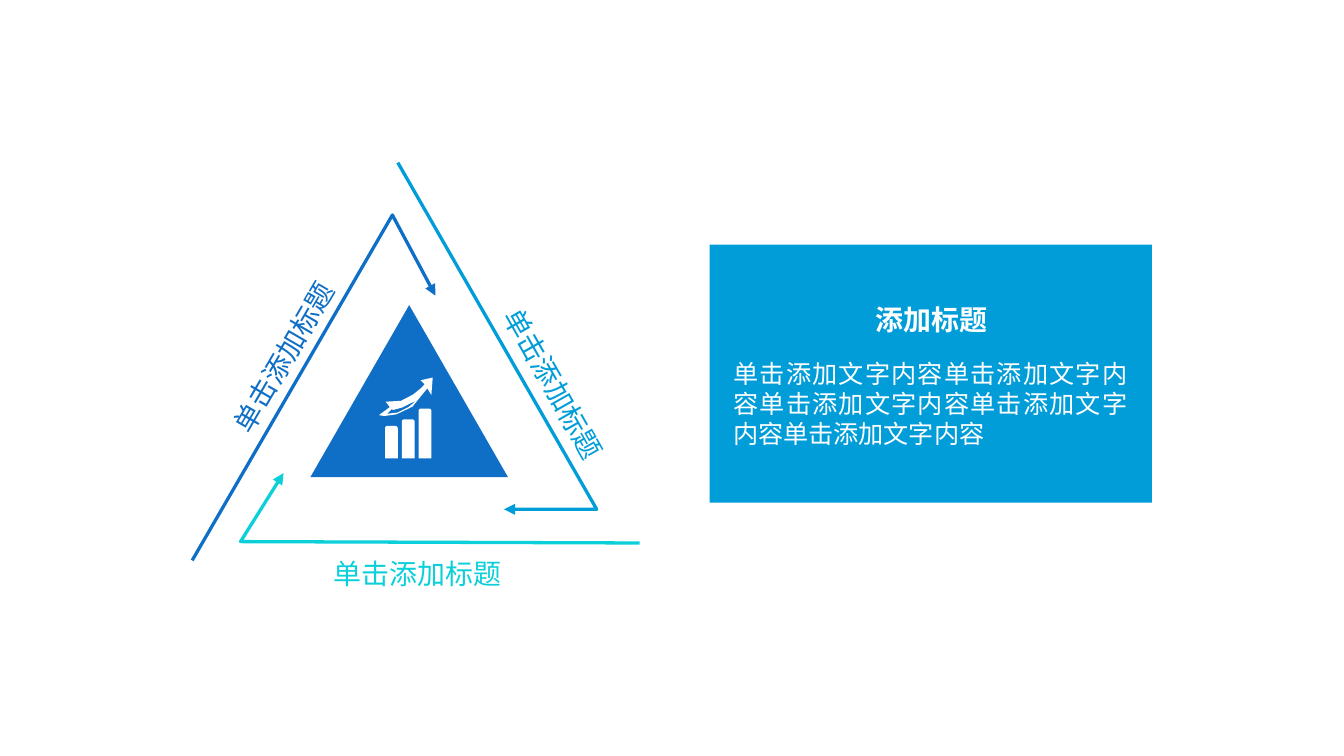
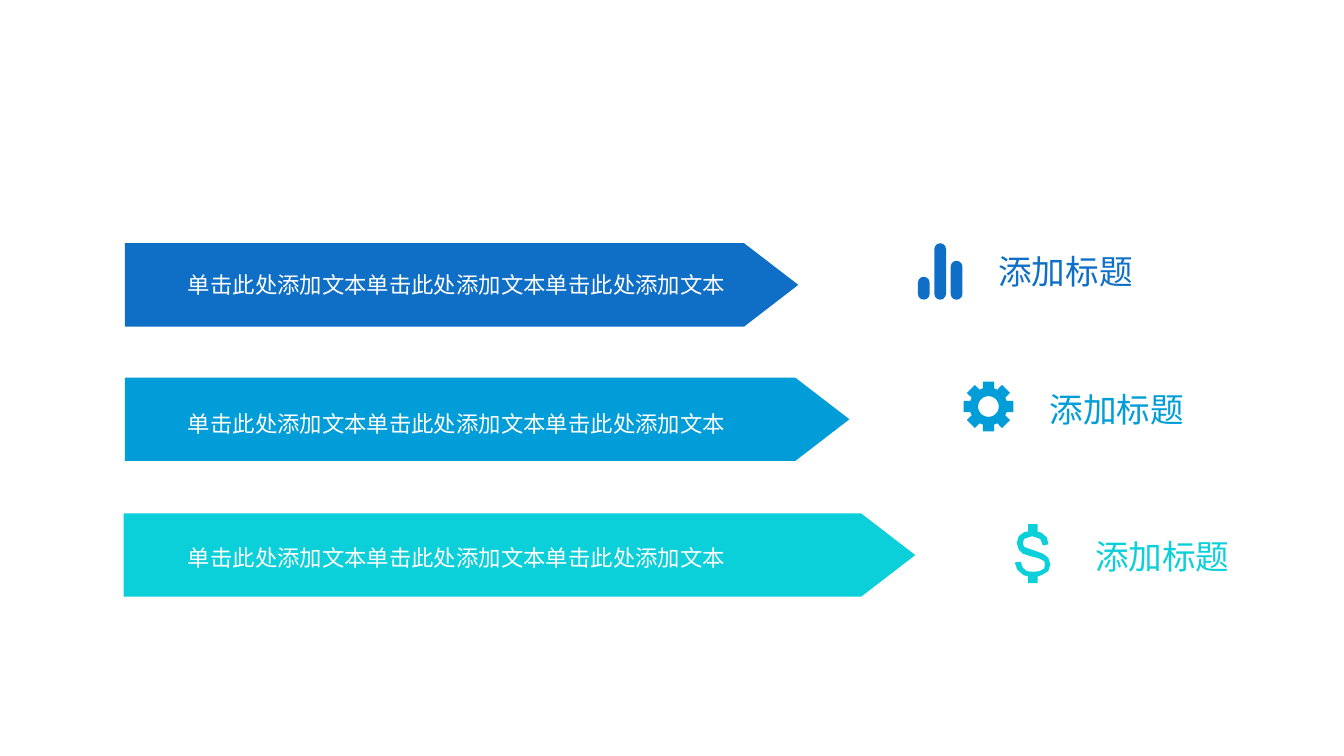
"""Build two infographic slides: a triangle cycle with a text panel, and three arrow bands."""
from dataclasses import dataclass
from math import cos, pi, sin

from lxml import etree
from pptx import Presentation
from pptx.dml.color import RGBColor
from pptx.enum.shapes import MSO_SHAPE
from pptx.enum.text import MSO_AUTO_SIZE, PP_ALIGN
from pptx.oxml.ns import qn
from pptx.util import Inches, Pt

TRIANGLE = MSO_SHAPE.ISOSCELES_TRIANGLE
RECTANGLE = MSO_SHAPE.RECTANGLE
PENTAGON = MSO_SHAPE.PENTAGON
ROUNDED = MSO_SHAPE.ROUNDED_RECTANGLE
ROUND_TOP = MSO_SHAPE.ROUND_2_SAME_RECTANGLE
LEFT, CENTER, JUSTIFY = PP_ALIGN.LEFT, PP_ALIGN.CENTER, PP_ALIGN.JUSTIFY
GROW = MSO_AUTO_SIZE.SHAPE_TO_FIT_TEXT


@dataclass(frozen=True)
class Theme:
    """Colours, font and type sizes."""
    blue: RGBColor = RGBColor(0x0F, 0x6F, 0xC6)
    sky: RGBColor = RGBColor(0x00, 0x9D, 0xD9)
    aqua: RGBColor = RGBColor(0x0B, 0xD0, 0xD9)
    white: RGBColor = RGBColor(0xFF, 0xFF, 0xFF)
    font: str = "Noto Sans CJK SC"
    heading: float = 18
    label: float = 15
    body: float = 13.5
    band: float = 12
    line: float = 1.75


theme = Theme()
presentation = Presentation()
presentation.slide_width = Inches(10)
presentation.slide_height = presentation.slide_width * 9 // 16
GRID = presentation.slide_width // 100


def place(slide, kind, box, color=None):
    """Add a filled preset shape, or a text box if kind is None, at a box in grid units."""
    lengths = [round(value * GRID) for value in box]
    if kind is None:
        return slide.shapes.add_textbox(*lengths)
    shape = slide.shapes.add_shape(kind, *lengths)
    shape.shadow.inherit = False
    shape.fill.solid()
    shape.fill.fore_color.rgb = color
    shape.line.fill.background()
    return shape


def write(shape, text, size, color, align=LEFT, bold=False, spacing=None, wrap=True):
    """Write one formatted paragraph into a shape."""
    frame = shape.text_frame
    frame.word_wrap = wrap
    frame.auto_size = GROW
    paragraph = frame.paragraphs[0]
    paragraph.alignment = align
    paragraph.line_spacing = spacing
    run = paragraph.add_run()
    run.text = text
    run.font.name = theme.font
    run.font.size = Pt(size)
    run.font.bold = bold
    run.font.color.rgb = color
    etree.SubElement(run.font._element, qn("a:ea"), typeface=theme.font)


blank = presentation.slide_layouts[6]
cycle_slide = presentation.slides.add_slide(blank)
band_slide = presentation.slides.add_slide(blank)

place(cycle_slide, TRIANGLE, (23.1, 22.7, 14.7, 12.8), theme.blue)

cycle_sides = [
    (theme.aqua, [(47.6, 40.4), (17.9, 40.3), (21.1, 35.2)], (23.4, 40.9, 15.3, 3.5), 0),
    (theme.sky, [(29.6, 12.1), (44.4, 37.9), (37.5, 37.9)], (33.3, 26.8, 15.8, 3.5), 60.4),
    (theme.blue, [(14.3, 41.7), (29.2, 16), (32.4, 22)], (12.6, 24.8, 17, 3.5), 300.2),
]
for color, points, label_box, rotation in cycle_sides:
    corners = [(x * GRID, y * GRID) for x, y in points]
    builder = cycle_slide.shapes.build_freeform(*corners[0])
    builder.add_line_segments(corners[1:], close=False)
    arrow = builder.convert_to_shape()
    arrow.shadow.inherit = False
    arrow.fill.background()
    arrow.line.color.rgb = color
    arrow.line.width = Pt(theme.line)
    etree.SubElement(arrow.line._get_or_add_ln(), qn("a:tailEnd"), type="triangle")
    label = place(cycle_slide, None, label_box)
    label.rotation = rotation
    write(label, "单击添加标题", theme.label, color, CENTER)

place(cycle_slide, RECTANGLE, (52.8, 18.2, 32.9, 19.2), theme.sky)
panel_title = place(cycle_slide, RECTANGLE, (59.3, 22, 20, 3.5), theme.sky)
write(panel_title, "添加标题", theme.label, theme.white, CENTER, bold=True)
panel_text = place(cycle_slide, RECTANGLE, (53.6, 26.1, 31.3, 7.8), theme.sky)
write(panel_text, "单击添加文字内容" * 5, theme.body, theme.white, JUSTIFY)

for index, top in enumerate((31.7, 31.2, 30.4)):
    place(cycle_slide, ROUND_TOP, (28.65 + 1.25 * index, top, 0.95, 34.1 - top), theme.white)

bands = [
    (theme.blue, (9.3, 18.1, 50.1, 6.2), 18.7, (73.3, 18.2)),
    (theme.sky, (9.3, 28.1, 53.9, 6.2), 29, (77.1, 28.45)),
    (theme.aqua, (9.2, 38.2, 58.9, 6.2), 39, (80.5, 39.4)),
]
for color, band_box, text_top, heading_corner in bands:
    band = place(band_slide, PENTAGON, band_box, color)
    band.adjustments[0] = 0.65
    band_text = place(band_slide, None, (13, text_top, 42, 3.7))
    write(band_text, "单击此处添加文本" * 3, theme.band, theme.white, spacing=1.5)
    heading = place(band_slide, None, (*heading_corner, 12.1, 4))
    write(heading, "添加标题", theme.heading, color, wrap=False)

for index, top in enumerate((20.6, 18.1, 19.4)):
    bar = place(band_slide, ROUNDED, (68.3 + 1.22 * index, top, 0.87, 22.3 - top), theme.blue)
    bar.adjustments[0] = 0.5

growth_arrow = [
    [(32.1, 29.4), (32.2, 28.1), (31.3, 28.3), (31.6, 28.6), (31.37, 28.85), (30.75, 29.36),
     (29.84, 29.83), (28.7, 29.9), (29, 30.3), (28.2, 30.9), (28.6, 30.96), (29.5, 30.84),
     (30.69, 30.27), (31.8, 28.9)],
    [(28.8, 30.8), (29.2, 30.4), (29.2, 30.5), (29.3, 30.5), (29.9, 30.34), (31, 29.8),
     (30.4, 30.3), (29.6, 30.7)],
]
tooth = [(-0.42, 1.35), (-0.42, 1.85), (0.42, 1.85), (0.42, 1.35)]
turns = [step * pi / 4 for step in range(8)]
gear = [
    [(73.55 + x * cos(turn) + y * sin(turn), 30.25 + y * cos(turn) - x * sin(turn))
     for turn in turns for x, y in tooth],
    [(73.55 + 0.77 * cos(step * pi / 18), 30.25 + 0.77 * sin(step * pi / 18))
     for step in range(36)],
]
dollar = [
    [(78, 41.5), (77.6, 41.2), (76.9, 40.95), (76.2, 40.7), (76.1, 40.4), (76.2, 40.1),
     (76.8, 39.9), (77.4, 40.1), (77.6, 40.6), (78, 40.5), (77.9, 40), (77.5, 39.65),
     (77.2, 39.55), (77.2, 39), (76.5, 39), (76.5, 39.55), (76.2, 39.6), (75.8, 39.9),
     (75.65, 40.4), (75.8, 40.9), (76.1, 41.2), (76.7, 41.4), (77.3, 41.55), (77.7, 41.75),
     (77.75, 42), (77.7, 42.3), (77.35, 42.5), (76.9, 42.55), (76.4, 42.5), (76.1, 42.25),
     (75.95, 41.8), (75.5, 41.85), (75.7, 42.4), (76.15, 42.8), (76.5, 42.9), (76.5, 43.4),
     (77.2, 43.4), (77.2, 42.9), (77.5, 42.8), (78, 42.5), (78.15, 42)],
]
icons = [
    (cycle_slide, growth_arrow, theme.white),
    (band_slide, gear, theme.sky),
    (band_slide, dollar, theme.aqua),
]
for slide, contours, color in icons:
    outline, *holes = [[(x * GRID, y * GRID) for x, y in contour] for contour in contours]
    builder = slide.shapes.build_freeform(*outline[0])
    builder.add_line_segments(outline[1:])
    for hole in holes:
        builder.move_to(*hole[0])
        builder.add_line_segments(hole[1:])
    icon = builder.convert_to_shape()
    icon.shadow.inherit = False
    icon.fill.solid()
    icon.fill.fore_color.rgb = color
    icon.line.fill.background()

presentation.save("out.pptx")
